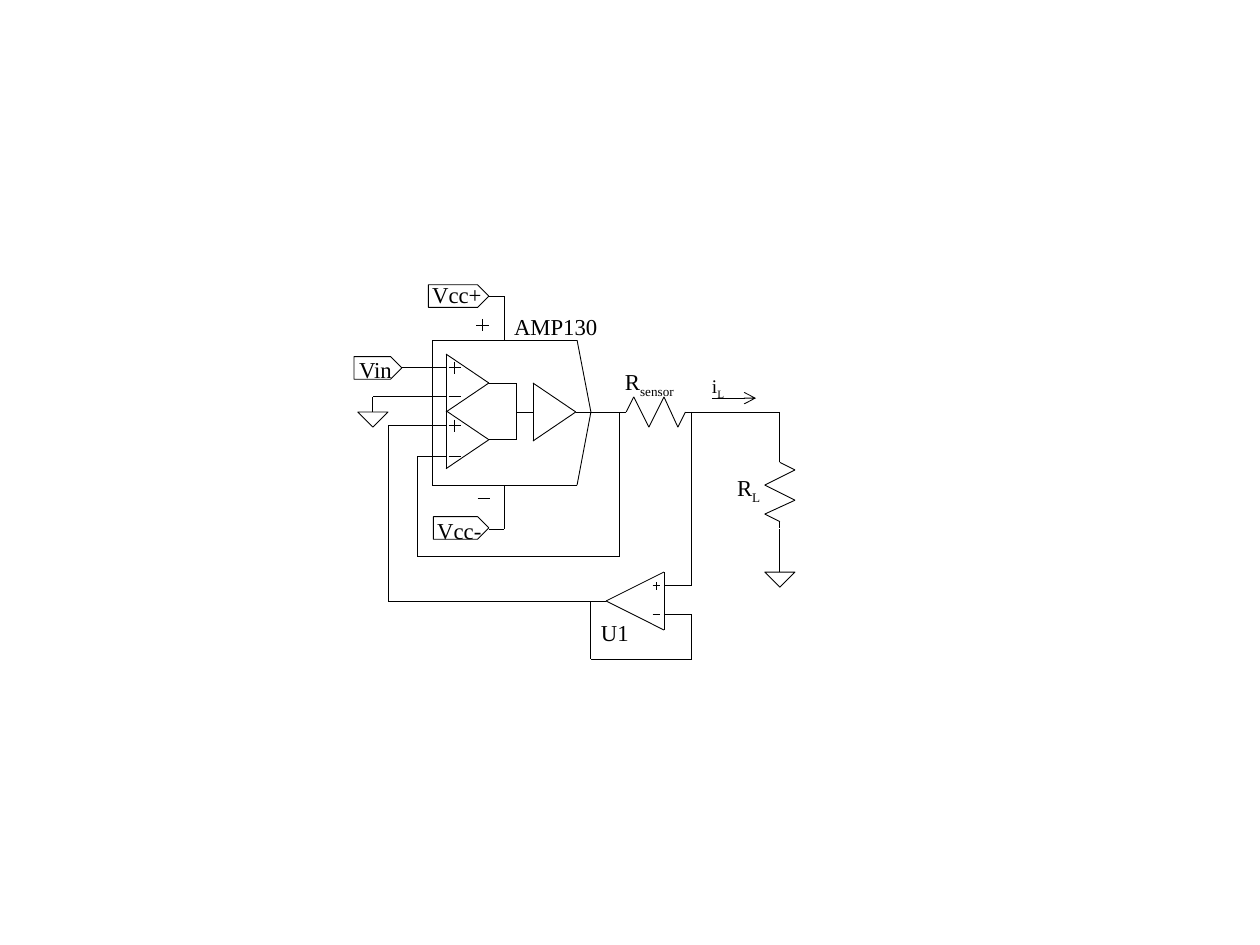
from itertools import pairwise
from lxml.etree import SubElement
from pptx import Presentation
from pptx.dml.color import RGBColor
from pptx.enum.shapes import MSO_CONNECTOR
from pptx.enum.text import MSO_AUTO_SIZE
from pptx.oxml.ns import qn
from pptx.util import Inches, Pt

INK = "000000"
FONT = "Times New Roman"

# Shared rows and columns of the circuit, in inches
IN1, IN2, IN3, IN4 = PINS = (2.92, 3.15, 3.38, 3.62)
MID = 3.27                      # output row
TOP, BOTTOM = 2.7, 3.85         # edges of the amplifier body
LEFT, TIP, SUPPLY = 3.43, 4.69, 4.0
STAGE, JOIN = 3.54, 4.1         # input stage and its summing column
OUT, SENSE, LOAD = 4.92, 5.49, 6.19
INNER, OUTER = 3.31, 3.08       # feedback columns
BUFFER, BUFFER_ROW = 5.27, 4.77
BUFFER_PLUS, BUFFER_MINUS = 4.65, 4.88

# Each wire runs through its points
wires = [
    [(SUPPLY, TOP), (SUPPLY, 2.46), (SUPPLY, 2.35), (3.88, 2.35)],
    [(SUPPLY, BOTTOM), (SUPPLY, 4.08), (SUPPLY, 4.2), (3.88, 4.2)],
    [(3.88, 3.04), (JOIN, 3.04), (JOIN, 3.49), (3.88, 3.49)],
    [(JOIN, MID), (4.23, MID)],
    [(4.57, MID), (TIP, MID), (OUT, MID)],
    [(STAGE, IN1), (LEFT, IN1), (3.19, IN1)],
    [(STAGE, IN2), (LEFT, IN2), (2.96, IN2), (2.96, MID)],
    [(STAGE, IN3), (LEFT, IN3), (OUTER, IN3), (OUTER, BUFFER_ROW),
     (TIP, BUFFER_ROW), (4.81, BUFFER_ROW)],
    [(STAGE, IN4), (LEFT, IN4), (INNER, IN4), (INNER, 4.42), (OUT, 4.42), (OUT, MID)],
    [(SENSE, MID), (LOAD, MID), (LOAD, IN4)],
    [(LOAD, 4.2), (LOAD, 4.54)],
    [(SENSE, MID), (SENSE, BUFFER_PLUS), (BUFFER, BUFFER_PLUS)],
    [(BUFFER, BUFFER_MINUS), (SENSE, BUFFER_MINUS), (SENSE, 5.23), (TIP, 5.23),
     (TIP, BUFFER_ROW)],
]
body = [(LEFT, TOP), (4.58, TOP), (TIP, MID), (4.58, BOTTOM), (LEFT, BOTTOM), (LEFT, TOP)]

# Amplifier triangles: base column, tip column, centre row, half height
triangles = [(STAGE, 3.88, 3.04, 0.23), (STAGE, 3.88, 3.49, 0.23),
             (4.23, 4.57, MID, 0.23), (BUFFER, 4.81, BUFFER_ROW, 0.23)]

# Polarity signs: centre, half length, plus or minus
signs = [(3.61, row, 0.05, i % 2 == 0) for i, row in enumerate(PINS)] + [
    (3.83, 2.58, 0.05, True), (3.84, 3.96, 0.05, False),
    (5.21, BUFFER_PLUS, 0.03, True), (5.21, BUFFER_MINUS, 0.03, False)]

# Zigzag of a resistor: distance along, distance across
zigzag = [(0, 0), (0.05, 0), (0.11, 0.12), (0.23, -0.12), (0.35, 0.12),
          (0.46, -0.12), (0.52, 0), (0.57, 0)]
grounds = [(2.96, MID), (LOAD, 4.54)]
flags = [(2.81, 2.83, 3.19), (3.4, 2.26, 3.88), (3.44, 4.1, 3.88)]  # left, top, tip

# Labels: text, subscript, box, size
labels = [
    ("AMP130", "", (4.08, 2.48, 0.66, 0.25), 13),
    ("R", "sensor", (4.96, 2.92, 0.43, 0.22), 13),
    ("R", "L", (5.85, 3.76, 0.19, 0.22), 13),
    ("U1", "", (4.77, 4.91, 0.27, 0.25), 13),
    ("Vin", "", (2.85, 2.82, 0.33, 0.25), 13),
    ("Vcc+", "", (3.43, 2.23, 0.45, 0.25), 13),
    ("Vcc-", "", (3.47, 4.1, 0.41, 0.25), 13),
    ("i", "L", (5.65, 2.97, 0.11, 0.19), 11),
]

deck = Presentation()
deck.slide_width, deck.slide_height = Inches(10), Inches(7.5)
slide = deck.slides.add_slide(deck.slide_layouts[6])
circuit = slide.shapes.add_group_shape().shapes


def color(value):
    return RGBColor.from_string(value)


def stroke(part):
    part.line.color.rgb = color(INK)
    part.line.width = Pt(0.5)


def draw(points, arrow=False):
    for start, end in pairwise(points):
        segment = circuit.add_connector(
            MSO_CONNECTOR.STRAIGHT, *(Inches(v) for v in start + end))
        stroke(segment)
        if arrow:
            SubElement(segment.line._get_or_add_ln(), qn("a:tailEnd"), type="arrow")
        SubElement(segment._element.spPr, qn("a:effectLst"))


def outline(points):
    first, *rest = [(Inches(x), Inches(y)) for x, y in points]
    builder = circuit.build_freeform(*first)
    builder.add_line_segments(rest, close=True)
    symbol = builder.convert_to_shape()
    symbol.shadow.inherit = False
    symbol.fill.background()
    stroke(symbol)


def write(text, subscript, box, size):
    label = circuit.add_textbox(*(Inches(v) for v in box))
    frame = label.text_frame
    settings = {"margin_left": 0, "margin_top": 0, "margin_right": 0, "margin_bottom": 0,
                "word_wrap": False, "auto_size": MSO_AUTO_SIZE.SHAPE_TO_FIT_TEXT}
    for key, value in settings.items():
        setattr(frame, key, value)
    for words, baseline in ((text, 0), (subscript, -25000)):
        if words:
            run = frame.paragraphs[0].add_run()
            run.text = words
            run.font.name, run.font.size = FONT, Pt(size)
            run.font.color.rgb = color(INK)
            if baseline:
                run.font._element.set("baseline", str(baseline))


# Amplifier body, stages and signs
draw(body)
for base, tip, row, half in triangles:
    draw([(base, row - half), (tip, row), (base, row + half), (base, row - half)])
for x, y, half, plus in signs:
    draw([(x - half, y), (x + half, y)])
    if plus:
        draw([(x, y - half), (x, y + half)])

# Sensor and load resistors
draw([(OUT + along, MID - across) for along, across in zigzag])
draw([(LOAD + across, IN4 + along) for along, across in zigzag])

# Grounds and terminal flags
for x, y in grounds:
    outline([(x - 0.12, y), (x + 0.12, y), (x, y + 0.12)])
for left, top, tip in flags:
    shoulder = tip - 0.09
    outline([(tip, top + 0.09), (shoulder, top), (left, top),
             (left, top + 0.18), (shoulder, top + 0.18)])

# Wires, load current arrow and labels
for wire in wires:
    draw(wire)
draw([(5.65, 3.16), (6, 3.16)], arrow=True)
for label in labels:
    write(*label)

deck.save("out.pptx")
